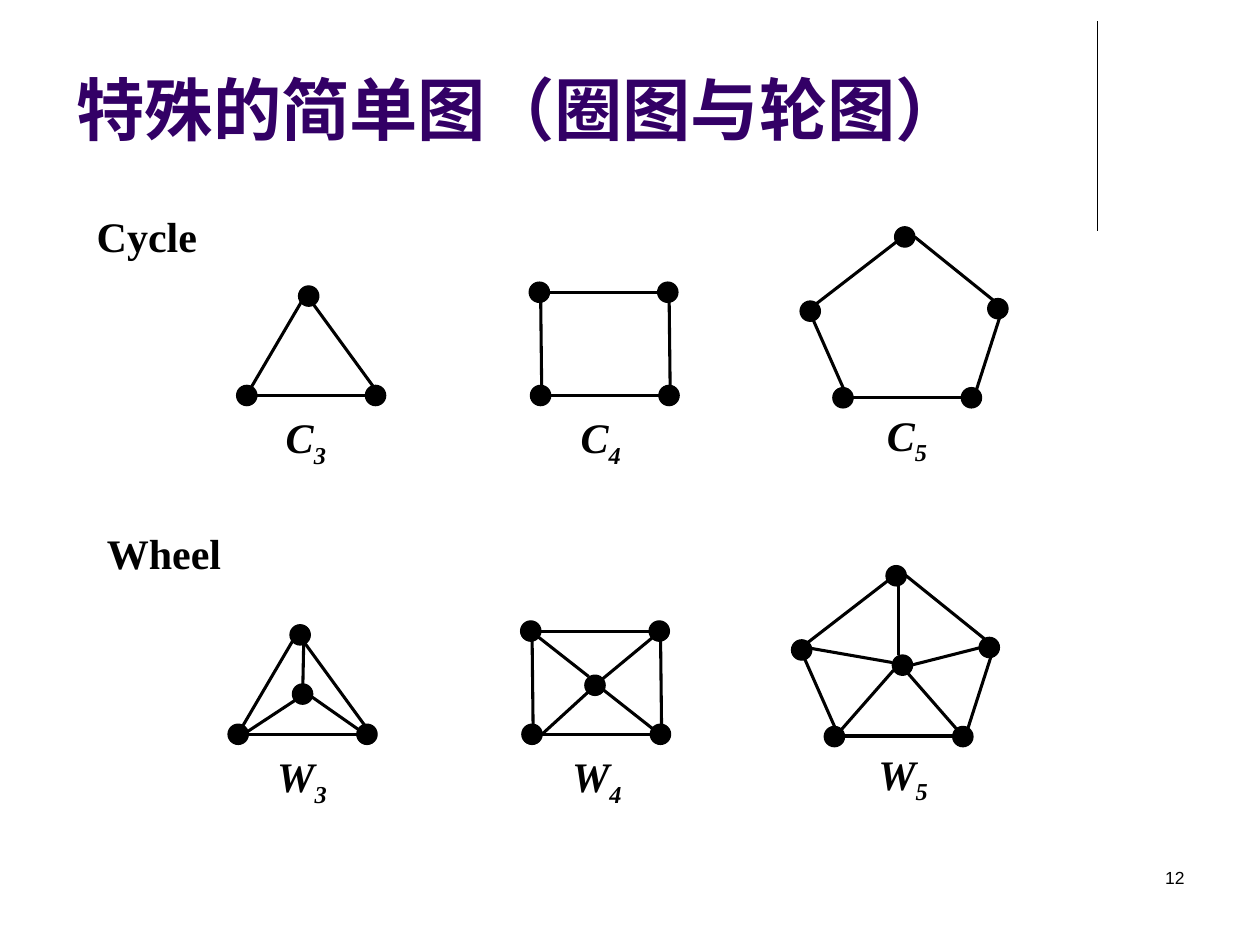
from lxml import etree
from pptx import Presentation
from pptx import util as u
from pptx.dml.color import RGBColor
from pptx.enum import shapes, text
from pptx.oxml.ns import qn

Pt = u.Pt
COLORS = {"ink": "000000", "title": "330066"}
SERIF, SANS = "Times New Roman", "Arial"
NODE_SIZE = 11.6
WHEEL_OFFSET = (-4.9, 193.6)  # from a cycle to the wheel below it

# Content: wording, (left, top, width, height), size, font, colour, bold, alignment, anchor
TEXTS = [
    ("特殊的简单图（圈图与轮图）", (36.7, 20.2, 594, 68.4), 39, SANS, "title", True,
     text.PP_ALIGN.LEFT, text.MSO_ANCHOR.BOTTOM),
    ("Cycle", (48.2, 116.6, 96.5, 36), 24, SERIF, "ink", True,
     text.PP_ALIGN.JUSTIFY, text.MSO_ANCHOR.TOP),
    ("Wheel", (54, 298.1, 96.5, 36), 24, SERIF, "ink", True,
     text.PP_ALIGN.JUSTIFY, text.MSO_ANCHOR.TOP),
    ("12", (516.2, 491.8, 167.8, 36), 10, SANS, "ink", False,
     text.PP_ALIGN.RIGHT, text.MSO_ANCHOR.TOP),
]

# Each cycle: node centres, rim lines (x1, y1, x2, y2), label corner;
# the wheel of the same order adds the hub and spokes.
GRAPHS = [
    {
        "order": "3",
        "nodes": [(141, 226), (214.6, 226), (176.4, 169.2)],
        "rim": [(146.2, 226, 208.8, 226), (177.1, 164.2, 143.3, 221.8),
                (179.3, 174.2, 216, 224.6)],
        "label": (156.2, 231.8),
        "hub": (177.8, 203),
        "spokes": [(177.8, 200.9, 218.9, 229.7), (173.5, 206.6, 144, 226),
                   (178.6, 167, 177.8, 206.6)],
    },
    {
        "order": "4",
        "nodes": [(308.2, 167), (381.6, 167), (308.9, 226), (382.3, 226)],
        "rim": [(313.9, 167, 375.8, 167), (314.6, 226, 376.6, 226),
                (383, 226, 382.3, 163.4), (309.6, 227.5, 308.9, 164.9)],
        "label": (324.7, 231.8),
        "hub": (344.9, 198),
        "spokes": [(308.2, 167, 341.3, 193), (342.7, 195.1, 386.6, 229.7),
                   (314.6, 226, 349.2, 194.4), (382.3, 167, 349.2, 194.4)],
    },
    {
        "order": "5",
        "nodes": [(570.2, 176.4), (517, 135.4), (463, 177.8), (481.7, 227.3), (555.1, 227.3)],
        "rim": [(487.4, 227, 549.4, 227), (466.6, 173.5, 520.6, 131.8),
                (522.7, 135.4, 567.4, 171.4), (556.6, 227, 571.7, 180),
                (464.4, 182.2, 486, 231.1)],
        "label": (499.7, 230.4),
        "hub": (520.6, 186.5),
        "spokes": [(461.5, 175.7, 514.8, 185), (518.4, 139.7, 518.4, 180.7),
                   (523.4, 190.8, 558, 230.4), (525.6, 186.5, 568.1, 175.7),
                   (515.5, 189.4, 484.6, 224.6)],
    },
]


def color(name):
    return RGBColor.from_string(COLORS[name])


def style_run(run, size, font, ink, bold):
    run.font.size, run.font.name, run.font.bold = Pt(size), font, bold
    run.font.color.rgb = color(ink)


def add_text(slide, wording, box, size, font, ink, bold, align, anchor):
    frame = slide.shapes.add_textbox(*map(Pt, box)).text_frame
    frame.word_wrap, frame.vertical_anchor = True, anchor
    frame.text = wording
    frame.paragraphs[0].alignment = align
    style_run(frame.paragraphs[0].runs[0], size, font, ink, bold)


def add_line(slide, x1, y1, x2, y2, width=1.75):
    line = slide.shapes.add_connector(
        shapes.MSO_CONNECTOR.STRAIGHT, Pt(x1), Pt(y1), Pt(x2), Pt(y2))
    line.line.color.rgb, line.line.width = color("ink"), Pt(width)
    etree.SubElement(line._element.spPr, qn("a:effectLst"))


def add_node(slide, x, y):
    node = slide.shapes.add_shape(
        shapes.MSO_SHAPE.FLOWCHART_CONNECTOR, Pt(x - NODE_SIZE / 2), Pt(y - NODE_SIZE / 2),
        Pt(NODE_SIZE), Pt(NODE_SIZE))
    node.shadow.inherit = False
    node.fill.solid()
    node.fill.fore_color.rgb = node.line.color.rgb = color("ink")
    node.line.width = Pt(0.75)


def add_label(slide, x, y, letter, order):
    label = slide.shapes.add_shape(
        shapes.MSO_SHAPE.RECTANGULAR_CALLOUT, Pt(x), Pt(y), Pt(56.9), Pt(39.6))
    label.shadow.inherit = False
    label.fill.background()
    label.line.fill.background()
    frame = label.text_frame
    frame.word_wrap, frame.vertical_anchor = False, text.MSO_ANCHOR.TOP
    paragraph = frame.paragraphs[0]
    paragraph.alignment = text.PP_ALIGN.LEFT
    for part in (letter, order):
        run = paragraph.add_run()
        run.text = part
        style_run(run, 24, SERIF, "ink", True)
        run.font.italic = True
    run._r.get_or_add_rPr().set("baseline", "-25000")  # subscript


def add_graph(slide, graph, letter, offset, with_hub):
    dx, dy = offset
    nodes = graph["nodes"] + ([graph["hub"]] if with_hub else [])
    lines = graph["rim"] + (graph["spokes"] if with_hub else [])
    for x1, y1, x2, y2 in lines:
        add_line(slide, x1 + dx, y1 + dy, x2 + dx, y2 + dy)
    for x, y in nodes:
        add_node(slide, x + dx, y + dy)
    x, y = graph["label"]
    add_label(slide, x + dx, y + dy, letter, graph["order"])


def main():
    deck = Presentation()
    deck.slide_width, deck.slide_height = Pt(720), Pt(540)
    slide = deck.slides.add_slide(deck.slide_layouts[6])

    # Margin rule beside the title
    add_line(slide, 627.1, 12.2, 627.1, 131.8, 0.75)

    # Row of cycles, then row of wheels
    for letter, offset, with_hub in (("C", (0, 0), False), ("W", WHEEL_OFFSET, True)):
        for graph in GRAPHS:
            add_graph(slide, graph, letter, offset, with_hub)

    # Title, row headings and page number
    for entry in TEXTS:
        add_text(slide, *entry)

    deck.save("out.pptx")


if __name__ == "__main__":
    main()
